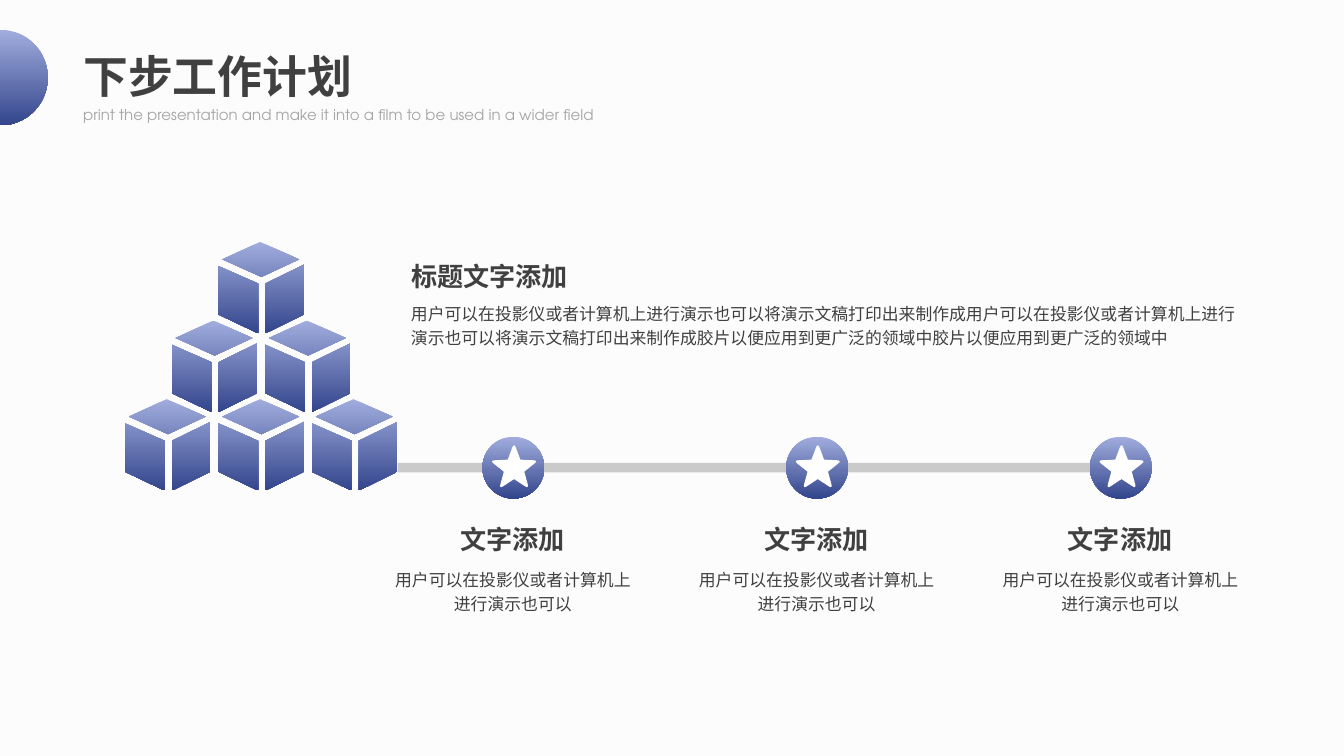
import math

import pptx
import pptx.dml.color
import pptx.enum.shapes
import pptx.enum.text
import pptx.oxml
import pptx.util

PAPER = pptx.dml.color.RGBColor(0xFC, 0xFC, 0xFC)
WHITE = pptx.dml.color.RGBColor(0xFF, 0xFF, 0xFF)
INK = pptx.dml.color.RGBColor(0x40, 0x40, 0x40)
PALE_INK = pptx.dml.color.RGBColor(0xA6, 0xA6, 0xA6)
TRACK = pptx.dml.color.RGBColor(0x80, 0x80, 0x80)
LILAC = pptx.dml.color.RGBColor(0xA1, 0xAD, 0xDD)
NAVY = pptx.dml.color.RGBColor(0x33, 0x45, 0x8C)

COLUMNS, ROWS = 100, 56.25
CELL = pptx.util.Inches(0.1)

LEFT = pptx.enum.text.PP_ALIGN.LEFT
CENTER = pptx.enum.text.PP_ALIGN.CENTER

BODY_FONT, HEAD_FONT = "Arial", "TeX Gyre Adventor"
TITLE = {"name": HEAD_FONT, "size": pptx.util.Pt(24), "bold": True}
SUBTITLE = {"name": HEAD_FONT, "size": pptx.util.Pt(8), "bold": False}
HEADING = {"name": BODY_FONT, "size": pptx.util.Pt(14), "bold": True}
BODY = {"name": BODY_FONT, "size": pptx.util.Pt(9), "bold": False}

CUBE_FACES = [
    [(0.3, 1.3), (3.1, 0), (6, 1.3), (3.2, 2.6)],
    [(2.95, 3.1), (0, 1.8), (0, 5.4), (2.95, 6.8)],
    [(3.5, 3.1), (3.5, 6.8), (6.35, 5.4), (6.35, 1.7)],
]


def grid(cells):
    return round(cells * CELL)


def set_all(target, values):
    for name, value in values.items():
        setattr(target, name, value)


def paint(shape, *colors):
    shape.shadow.inherit = False
    shape.line.fill.background()
    if len(colors) == 1:
        shape.fill.solid()
        shape.fill.fore_color.rgb = colors[0]
        return
    shape.fill.gradient()
    shape.fill.gradient_angle = 270
    for stop, color in zip(shape.fill.gradient_stops, colors):
        stop.color.rgb = color


def add_preset(slide, kind, area, *colors):
    shape = slide.shapes.add_shape(kind, *map(grid, area))
    paint(shape, *colors)
    return shape


def add_outline(slide, contours, left, top, *colors):
    placed = [[(grid(left + x), grid(top + y)) for x, y in contour]
              for contour in contours]
    builder = slide.shapes.build_freeform(*placed[0][0])
    builder.add_line_segments(placed[0][1:], close=True)
    for contour in placed[1:]:
        builder.move_to(*contour[0])
        builder.add_line_segments(contour[1:], close=True)
    paint(builder.convert_to_shape(), *colors)


def polar(radius, degrees):
    angle = math.radians(degrees)
    return radius * math.cos(angle), radius * math.sin(angle)


def blend(start, end, share):
    return tuple(a + (b - a) * share for a, b in zip(start, end))


def rounded_star(outer, inner, cut, steps):
    points = []
    for turn in range(-90, 270, 72):
        tip, notch = polar(outer, turn), polar(inner, turn + 36)
        start = blend(tip, polar(inner, turn - 36), cut)
        end = blend(tip, notch, cut)
        for step in range(steps + 1):
            share = step / steps
            points.append(blend(blend(start, tip, share),
                                blend(tip, end, share), share))
        points.append(notch)
    return points


def write(box, text, font, color=INK, align=LEFT, spacing=1.2, insets=(1, 0.5)):
    side, edge = map(grid, insets)
    frame = box.text_frame
    set_all(frame, {
        "word_wrap": True,
        "vertical_anchor": pptx.enum.text.MSO_ANCHOR.TOP,
        "auto_size": pptx.enum.text.MSO_AUTO_SIZE.SHAPE_TO_FIT_TEXT,
        "margin_left": side, "margin_right": side,
        "margin_top": edge, "margin_bottom": edge,
    })
    para = frame.paragraphs[0]
    set_all(para, {"alignment": align, "line_spacing": spacing})
    span = para.add_run()
    span.text = text
    set_all(span.font, font)
    span.font.color.rgb = color


def add_text(slide, area, text, font, **style):
    write(slide.shapes.add_textbox(*map(grid, area)), text, font, **style)


def add_header(slide):
    title = slide.shapes.title
    set_all(title, dict(zip(("left", "top", "width", "height"),
                            map(grid, (5.2, 3.1, 34.4, 5)))))
    write(title, "下步工作计划", TITLE, spacing=1.0)
    add_text(slide, (5.2, 7.4, 45.4, 2.4),
             "print the presentation and make it into a film to be used in a wider field",
             SUBTITLE, color=PALE_INK, spacing=1.0)
    half_disc = [polar(3.56, turn) for turn in range(-90, 91, 3)]
    add_outline(slide, [half_disc], 0, 5.78, LILAC, NAVY)


def add_pyramid(slide):
    for level in range(3):
        for place in range(level + 1):
            left = 9.3 + 6.95 * (place + (2 - level) / 2)
            add_outline(slide, CUBE_FACES, left, 18 + 5.85 * level, LILAC, NAVY)


def add_track(slide):
    track = add_preset(slide, pptx.enum.shapes.MSO_SHAPE.RECTANGLE,
                       (29.6, 34.45, 54, 0.7), TRACK)
    color = track.fill._xPr.find(".//" + pptx.oxml.ns.qn("a:srgbClr"))
    alpha = pptx.oxml.parse_xml(
        '<a:alpha %s val="40000"/>' % pptx.oxml.ns.nsdecls("a"))
    color.append(alpha)


def add_milestone(slide, center):
    add_preset(slide, pptx.enum.shapes.MSO_SHAPE.OVAL,
               (center - 2.3, 32.5, 4.6, 4.6), LILAC, NAVY)
    add_outline(slide, [rounded_star(1.9, 0.8, 0.3, 6)], center + 0.05, 34.85, WHITE)
    centered = {"align": CENTER, "insets": (0.7, 0.4)}
    add_text(slide, (center - 8.6, 38.1, 17.1, 3.6), "文字添加", HEADING, **centered)
    add_text(slide, (center - 9.5, 41.7, 18.9, 4.4),
             "用户可以在投影仪或者计算机上进行演示也可以", BODY, **centered)


def main():
    deck = pptx.Presentation()
    deck.slide_width, deck.slide_height = grid(COLUMNS), grid(ROWS)
    slide = deck.slides.add_slide(deck.slide_layouts[5])
    slide.background.fill.solid()
    slide.background.fill.fore_color.rgb = PAPER

    add_header(slide)
    add_track(slide)
    for index in range(3):
        add_milestone(slide, 38.2 + 22.6 * index)
    add_pyramid(slide)
    add_text(slide, (29.6, 18.4, 17.1, 3.8), "标题文字添加", HEADING)
    add_text(slide, (29.6, 21.8, 63.3, 4.6),
             "用户可以在投影仪或者计算机上进行演示也可以将演示文稿打印出来制作成"
             "用户可以在投影仪或者计算机上进行演示也可以将演示文稿打印出来制作成"
             "胶片以便应用到更广泛的领域中胶片以便应用到更广泛的领域中", BODY)
    deck.save("out.pptx")


if __name__ == "__main__":
    main()
